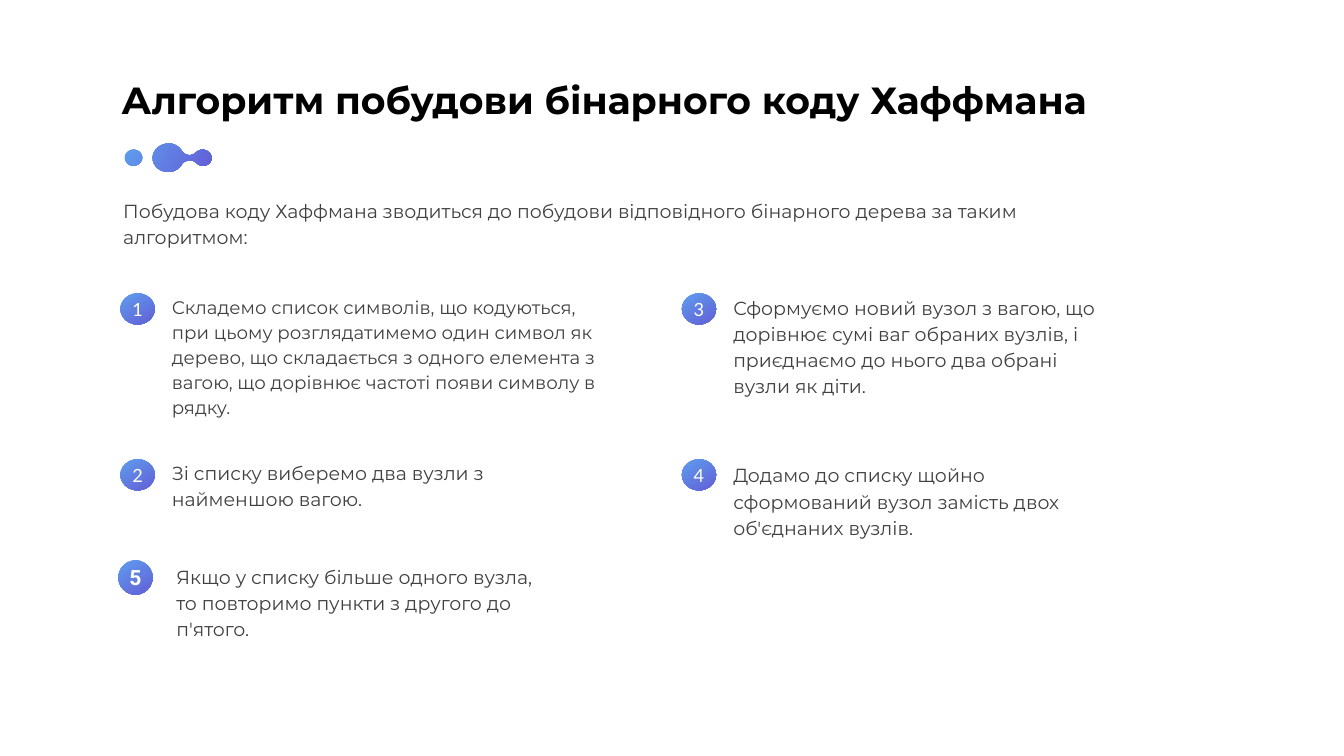
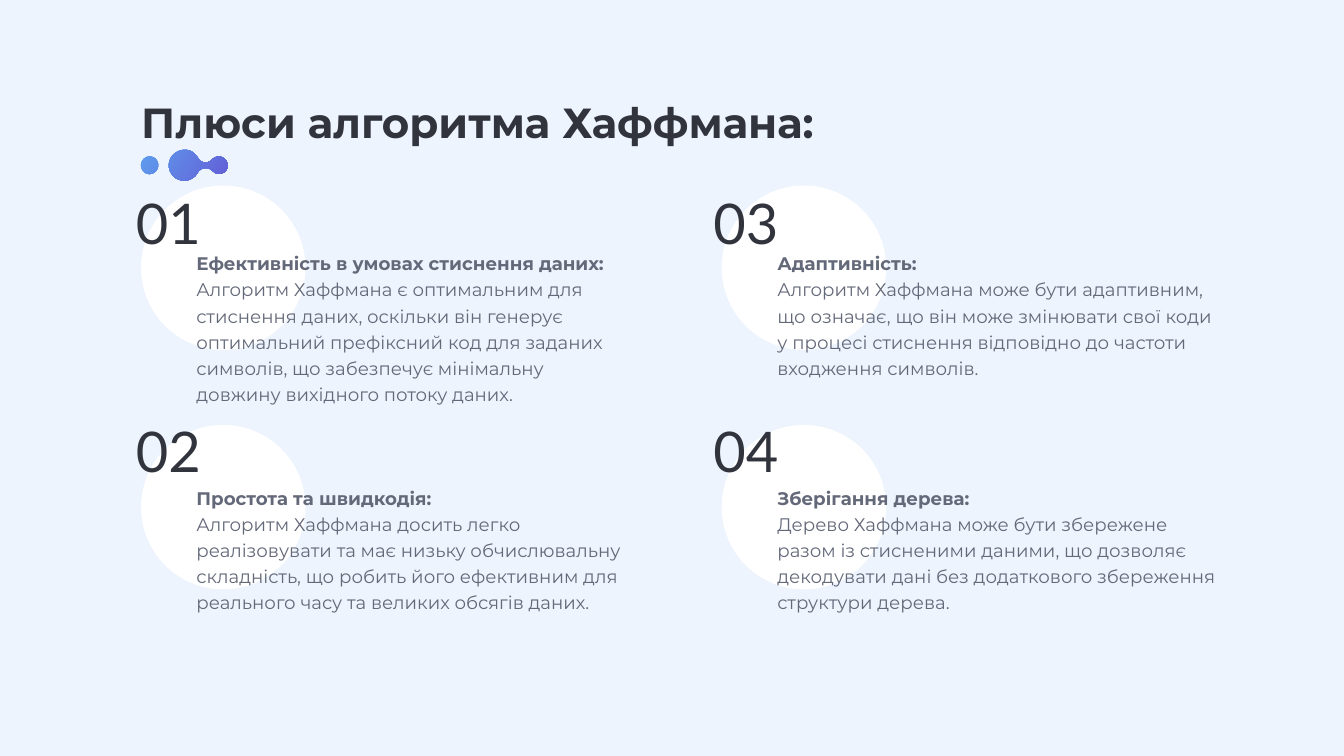
"""Builds two slides on the Huffman algorithm."""
from pptx import Presentation
from pptx.dml.color import RGBColor
from pptx.enum.shapes import MSO_SHAPE
from pptx.enum.text import MSO_ANCHOR, MSO_AUTO_SIZE, PP_ALIGN
from pptx.util import Pt

COLORS = {
    "white": "FFFFFF", "pale": "EDF4FD", "black": "000000", "dark": "31333D",
    "grey": "404040", "slate": "646979", "blue": "5E9EEE", "violet": "635ED6",
}

DROPS = [
    [(87, 0), (70, 0), (55, 13), (55, 31), (55, 47), (68, 61), (85, 61),
     (97, 62), (107, 55), (113, 45), (115, 41), (119, 38), (124, 37),
     (130, 35), (137, 37), (142, 42), (152, 54), (172, 47), (172, 31),
     (172, 15), (152, 7), (141, 19), (138, 23), (133, 25), (128, 25),
     (121, 25), (116, 21), (113, 16), (107, 6), (98, 0), (87, 0)],
    [(17, 13), (13, 13), (8, 15), (5, 18), (-2, 25), (-2, 36), (5, 43),
     (11, 50), (22, 50), (29, 43), (36, 36), (36, 25), (29, 18),
     (26, 15), (21, 13), (17, 13)],
]

TEXT = {
    "title1": {"size": 54, "name": "Montserrat", "bold": True, "color": "black"},
    "title2": {"size": 60, "name": "Montserrat", "bold": True, "color": "dark"},
    "badge": {"size": 26, "name": "Lato", "bold": False, "color": "white"},
    "last_badge": {"size": 30, "name": "Roboto", "bold": True, "color": "white"},
    "long_step": {"size": 26, "name": "Montserrat", "bold": False, "color": "grey"},
    "step": {"size": 27, "name": "Montserrat", "bold": False, "color": "grey"},
    "number": {"size": 80, "name": "Lato", "bold": False, "color": "dark"},
    "heading": {"size": 26, "name": "Montserrat", "bold": True, "color": "slate"},
    "body": {"size": 26, "name": "Montserrat", "bold": False, "color": "slate"},
}

STEP_PARAGRAPH = {"line_spacing": 1.15, "space_before": Pt(10)}
MIDDLE, TOP = MSO_ANCHOR.MIDDLE, MSO_ANCHOR.TOP

STEPS = [
    ("1", 0, 0, "long_step", (416, 630, 184),
     "Складемо список символів, що кодуються, при цьому розглядатимемо один "
     "символ як дерево, що складається з одного елемента з вагою, що дорівнює "
     "частоті появи символу в рядку."),
    ("2", 0, 1, "step", (653, 541.5, 78.5),
     "Зі списку виберемо два вузли з найменшою вагою."),
    ("3", 1, 0, "step", (416, 541.5, 153.5),
     "Сформуємо новий вузол з вагою, що дорівнює сумі ваг обраних вузлів, і "
     "приєднаємо до нього два обрані вузли як діти."),
    ("4", 1, 1, "step", (656, 541.5, 116),
     "Додамо до списку щойно сформований вузол замість двох об'єднаних вузлів."),
]

ADVANTAGES = [
    ("Ефективність в умовах стиснення даних:",
     "Алгоритм Хаффмана є оптимальним для стиснення даних, оскільки він генерує "
     "оптимальний префіксний код для заданих символів, що забезпечує мінімальну "
     "довжину вихідного потоку даних.", 620.5, 229),
    ("Простота та швидкодія:",
     "Алгоритм Хаффмана досить легко реалізовувати та має низьку обчислювальну "
     "складність, що робить його ефективним для реального часу та великих "
     "обсягів даних.", 640, 191),
    ("Адаптивність:",
     "Алгоритм Хаффмана може бути адаптивним, що означає, що він може змінювати "
     "свої коди у процесі стиснення відповідно до частоти входження символів.",
     640, 191),
    ("Зберігання дерева:",
     "Дерево Хаффмана може бути збережене разом із стисненими даними, що "
     "дозволяє декодувати дані без додаткового збереження структури дерева.",
     640, 191),
]


def rgb(name):
    """Return the colour with the given name."""
    return RGBColor.from_string(COLORS[name])


def trace(points, steps=8):
    """Sample a chain of cubic curves in tenths of its unit."""
    line = [points[0]]
    for i in range(0, len(points) - 1, 3):
        a, b, c, d = points[i:i + 4]
        for k in range(1, steps + 1):
            t = k / steps
            u = 1 - t
            line.append(tuple(
                u**3 * a[n] + 3 * u * u * t * b[n] + 3 * u * t * t * c[n] + t**3 * d[n]
                for n in (0, 1)))
    return [(round(x * 10), round(y * 10)) for x, y in line]


class Deck:
    """Holds the shared style and the current slide."""

    def __init__(self):
        """Start an empty wide presentation."""
        self.prs = Presentation()
        self.prs.slide_width, self.prs.slide_height = Pt(1920), Pt(1080)
        self.s = None

    def slide(self, background):
        """Add a title-only slide with a plain background."""
        self.s = self.prs.slides.add_slide(self.prs.slide_layouts[5])
        self.s.background.fill.solid()
        self.s.background.fill.fore_color.rgb = rgb(background)

    def set_text(self, sp, parts, anchor=MIDDLE, align=PP_ALIGN.LEFT, inset=4.5,
                 grow=True, paragraph=None):
        """Fill a shape with (text, style) paragraphs."""
        tf = sp.text_frame
        fit = MSO_AUTO_SIZE.SHAPE_TO_FIT_TEXT if grow else MSO_AUTO_SIZE.NONE
        frame = {"word_wrap": True, "auto_size": fit, "vertical_anchor": anchor}
        for side in ("left", "top", "right", "bottom"):
            frame["margin_" + side] = Pt(inset)
        for key, value in frame.items():
            setattr(tf, key, value)
        for i, (text, style) in enumerate(parts):
            p = tf.add_paragraph() if i else tf.paragraphs[0]
            for key, value in {"alignment": align, **(paragraph or {})}.items():
                setattr(p, key, value)
            r = p.add_run()
            r.text = text
            for key, value in TEXT[style].items():
                if key == "color":
                    r.font.color.rgb = rgb(value)
                else:
                    setattr(r.font, key, Pt(value) if key == "size" else value)

    def title(self, box, text, style, align=PP_ALIGN.LEFT):
        """Place and format the title placeholder."""
        sp = self.s.shapes.title
        for key, value in zip(("left", "top", "width", "height"), box):
            setattr(sp, key, Pt(value))
        self.set_text(sp, [(text, style)], align=align)

    def text(self, box, parts, **layout):
        """Add a text box."""
        sp = self.s.shapes.add_textbox(*map(Pt, box))
        self.set_text(sp, parts, **layout)

    def gradient(self, sp, angle):
        """Fill a shape from blue to violet, clockwise by the angle."""
        sp.shadow.inherit = False
        sp.line.fill.background()
        sp.fill.gradient()
        sp.fill.gradient_angle = 360 - angle
        for stop, name in zip(sp.fill.gradient_stops, ("blue", "violet")):
            stop.color.rgb = rgb(name)

    def drops(self, left, top, height):
        """Draw the drops under the title."""
        scale = (Pt(0.72) / 10, Pt(height) / 610)
        blob, dot = map(trace, DROPS)
        builder = self.s.shapes.build_freeform(*blob[0], scale=scale)
        builder.add_line_segments(blob[1:])
        builder.move_to(*dot[0])
        builder.add_line_segments(dot[1:])
        self.gradient(builder.convert_to_shape(Pt(left), Pt(top)), 34)

    def badge(self, box, text, style="badge"):
        """Draw a gradient ellipse with a step number."""
        sp = self.s.shapes.add_shape(MSO_SHAPE.OVAL, *map(Pt, box))
        self.gradient(sp, 57)
        self.set_text(sp, [(text, style)], align=PP_ALIGN.CENTER, inset=0, grow=False)

    def disc(self, left, top, size):
        """Draw a plain white circle."""
        sp = self.s.shapes.add_shape(MSO_SHAPE.OVAL, *map(Pt, (left, top, size, size)))
        sp.shadow.inherit = False
        sp.line.fill.background()
        sp.fill.solid()
        sp.fill.fore_color.rgb = rgb("white")


def build_steps(deck):
    """Build the slide with the steps of the algorithm."""
    deck.slide("white")
    deck.title((169, 104.5, 1556.5, 73.5),
               "Алгоритм побудови бінарного коду Хаффмана", "title1")
    deck.drops(178.5, 205, 40.5)
    for number, col, row, style, (top, width, height), text in STEPS:
        left = 172 + 802 * col
        deck.badge((left, 419 + 237 * row, 49, 44.6), number)
        deck.text((left + 69, top, width, height), [(text, style)],
                  paragraph=STEP_PARAGRAPH)
    deck.text((247.5, 800.5, 541.5, 116),
              [("Якщо у списку більше одного вузла, то повторимо пункти з другого "
                "до п'ятого.", "step")], paragraph=STEP_PARAGRAPH)
    deck.badge((169, 800.5, 49, 49), "5", "last_badge")
    deck.text((169, 273, 1443, 106.5),
              [("Побудова коду Хаффмана зводиться до побудови відповідного "
                "бінарного дерева за таким алгоритмом:", "step")],
              anchor=TOP, inset=7.2, paragraph=STEP_PARAGRAPH)


def build_advantages(deck):
    """Build the slide with the advantages of the algorithm."""
    deck.slide("pale")
    deck.title((189.5, 133, 985, 80.5), "Плюси алгоритма Хаффмана:", "title2",
               PP_ALIGN.CENTER)
    deck.drops(201.5, 214, 44)
    for i, (heading, body, width, height) in enumerate(ADVANTAGES):
        col, row = divmod(i, 2)
        deck.disc(201.5 + 829.5 * col, 265 + 342 * row, 235)
        deck.text((189.5 + 825 * col, 265 + 325.5 * row, 170.5, 105),
                  [(f"{i + 1:02}", "number")])
        deck.text((276 + 830 * col, 350 + 335 * row, width, height),
                  [(heading, "heading"), (body, "body")],
                  anchor=TOP, paragraph={"line_spacing": 1.2})


def main():
    """Build and save the presentation."""
    deck = Deck()
    build_steps(deck)
    build_advantages(deck)
    deck.prs.save("out.pptx")


if __name__ == "__main__":
    main()
